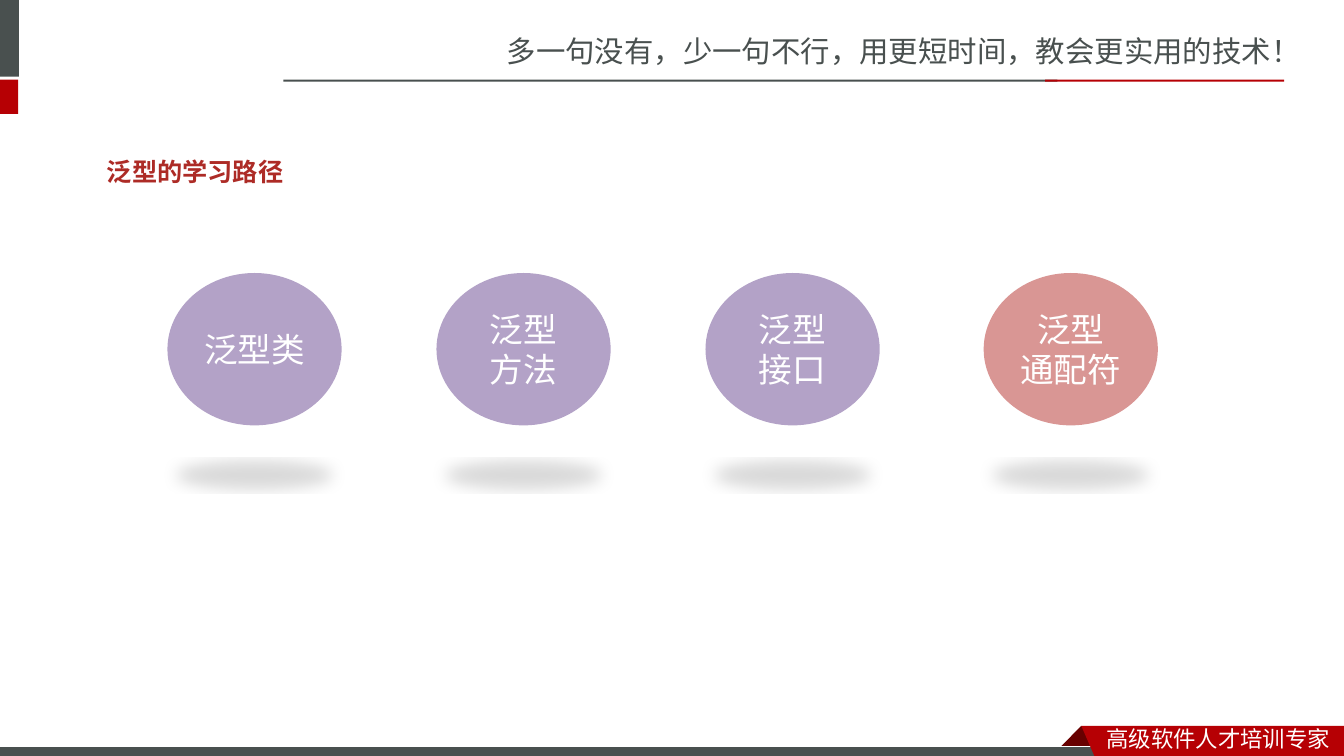
import pptx
import pptx.util
import pptx.dml.color
import pptx.enum.shapes
import pptx.enum.text
import pptx.oxml
import pptx.oxml.ns

Cm, Pt = pptx.util.Cm, pptx.util.Pt
SHAPE = pptx.enum.shapes.MSO_SHAPE
ALIGN = pptx.enum.text.PP_ALIGN
ANCHOR = pptx.enum.text.MSO_ANCHOR
qn = pptx.oxml.ns.qn

COLORS = {
    "grey": "49504F", "red": "B60004", "dark red": "680000", "white": "FFFFFF",
    "title": "AD2B26", "purple": "B3A2C7", "pink": "D99694",
}
SANS_SC, SANS_JP = "Noto Sans CJK SC", "Noto Sans CJK JP"

TITLE = "泛型的学习路径"
SLOGAN = "多一句没有，少一句不行，用更短时间，教会更实用的技术！"
FOOTER = "高级软件人才培训专家"
STEPS = [
    ("泛型类", "purple"),
    ("泛型\n方法", "purple"),
    ("泛型\n接口", "purple"),
    ("泛型\n通配符", "pink"),
]

# left, top, width, height in cm
HEADER_BARS = [
    ((0, 0, 0.48, 1.93), "grey"),
    ((0, 2.01, 0.46, 0.86), "red"),
    ((7.14, 2.01, 19.51, 0.05), "grey"),
    ((26.34, 2.01, 6.02, 0.05), "red"),
]
FOOTER_BAR = (-0.03, 18.82, 27.94, 0.3)
RIBBON_FOLD = [(27.25, 18.29), (27.81, 18.85), (27.79, 18.87),
               (26.72, 18.87), (26.7, 18.85)]
RIBBON = [(27.25, 18.29), (33.87, 18.29), (33.87, 19.05), (27.58, 19.05)]

STEP_LEFT, STEP_TOP, STEP_W, STEP_H = 4.22, 6.88, 4.39, 3.84
STEP_PITCH = 6.78
LAST_STEP_SHIFT = 0.23

SHADOW = (
    '<a:outerShdw %s blurRad="152400" dist="317500" dir="5400000" '
    'sx="90000" sy="-19000" rotWithShape="0"><a:srgbClr val="000000">'
    '<a:alpha val="15000"/></a:srgbClr></a:outerShdw>' % pptx.oxml.ns.nsdecls("a")
)


def rgb(name):
    return pptx.dml.color.RGBColor.from_string(COLORS[name])


def write(tf, text, size, color, font=SANS_SC, bold=False, align=ALIGN.LEFT,
          anchor=ANCHOR.TOP, spacing=None, wrap=True):
    """Fill a text frame, one paragraph for each line of text."""
    tf.word_wrap = wrap
    tf.vertical_anchor = anchor
    for i, line in enumerate(text.split("\n")):
        p = tf.add_paragraph() if i else tf.paragraphs[0]
        p.alignment = align
        p.line_spacing = spacing
        r = p.add_run()
        r.text = line
        r.font.size, r.font.bold, r.font.name = Pt(size), bold, font
        r.font.color.rgb = rgb(color)
        ea = r._r.get_or_add_rPr().makeelement(
            qn("a:ea"), {"typeface": font if font != "Courier New" else SANS_SC})
        r._r.rPr.append(ea)


def paint(s, color):
    s.shadow.inherit = False
    s.fill.solid()
    s.fill.fore_color.rgb = rgb(color)
    s.line.fill.background()
    return s


def add_shape(slide, kind, box, color):
    return paint(slide.shapes.add_shape(kind, *map(Cm, box)), color)


def add_polygon(slide, points, color):
    start, *rest = [(Cm(x), Cm(y)) for x, y in points]
    builder = slide.shapes.build_freeform(*start)
    builder.add_line_segments(rest, close=True)
    return paint(builder.convert_to_shape(), color)


def add_label(slide, box, text, **fmt):
    write(slide.shapes.add_textbox(*map(Cm, box)).text_frame, text, wrap=False, **fmt)


def add_step(slide, left, text, color):
    s = add_shape(slide, SHAPE.OVAL, (left, STEP_TOP, STEP_W, STEP_H), color)
    effects = s._element.spPr.find(qn("a:effectLst"))
    effects.append(pptx.oxml.parse_xml(SHADOW))
    write(s.text_frame, text, 24, "white", font=SANS_JP,
          align=ALIGN.CENTER, anchor=ANCHOR.MIDDLE)


def main():
    prs = pptx.Presentation()
    prs.slide_width, prs.slide_height = Cm(33.87), Cm(19.05)
    slide = prs.slides.add_slide(prs.slide_layouts[5])

    add_label(slide, (12.52, 0.71, 21.34, 1.19), SLOGAN, size=21, color="grey")
    for box, color in HEADER_BARS:
        add_shape(slide, SHAPE.RECTANGLE, box, color)

    add_polygon(slide, RIBBON_FOLD, "dark red")
    bar = add_shape(slide, SHAPE.RECTANGLE, FOOTER_BAR, "grey")
    bar.line.color.rgb = rgb("white")
    bar.line.width = Pt(0.75)
    add_polygon(slide, RIBBON, "red")
    add_label(slide, (27.64, 18.16, 6.22, 0.94), FOOTER, size=16, color="white")

    title = slide.shapes.title
    title.left, title.top, title.width, title.height = map(Cm, (2.44, 3.05, 13, 1.6))
    title.text_frame.auto_size = pptx.enum.text.MSO_AUTO_SIZE.NONE
    write(title.text_frame, TITLE, 18, "title", font="Courier New", bold=True, spacing=2.0)

    for i, (text, color) in enumerate(STEPS):
        shift = LAST_STEP_SHIFT if i == len(STEPS) - 1 else 0
        add_step(slide, STEP_LEFT + i * STEP_PITCH + shift, text, color)

    prs.save("out.pptx")


if __name__ == "__main__":
    main()
